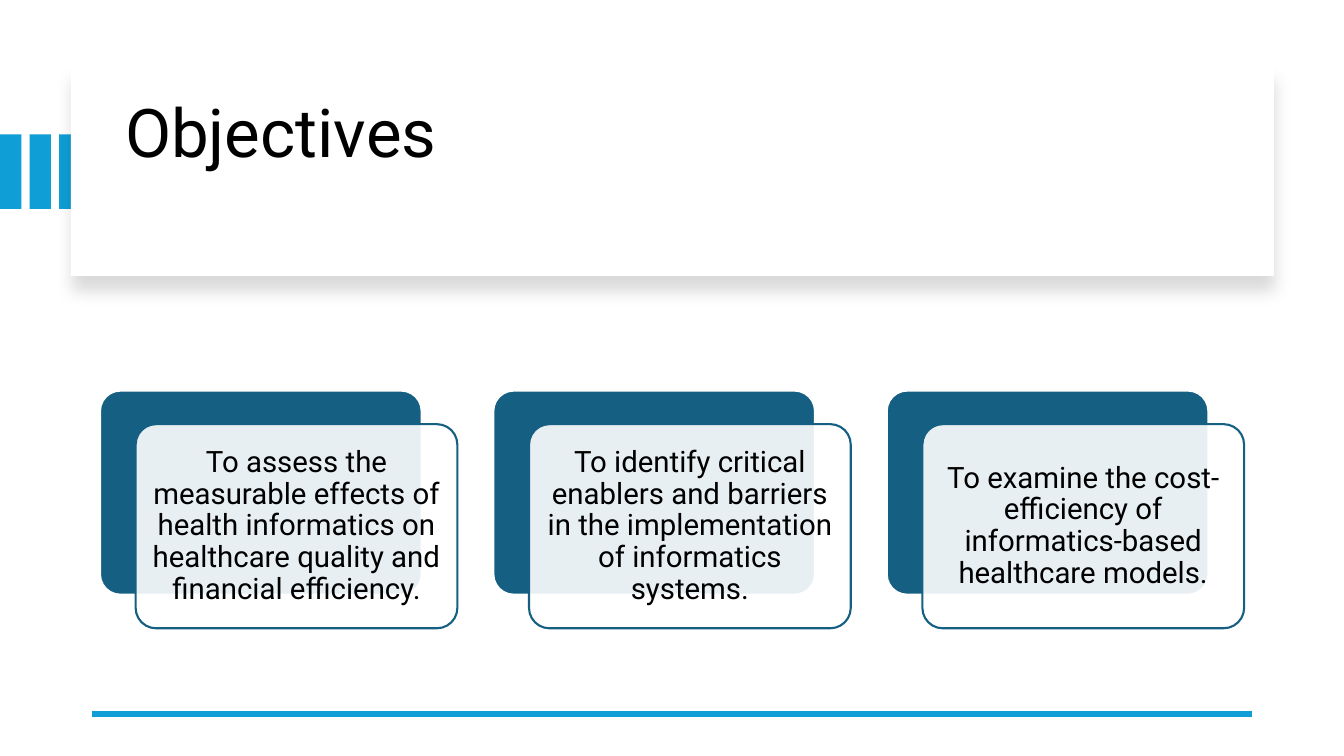
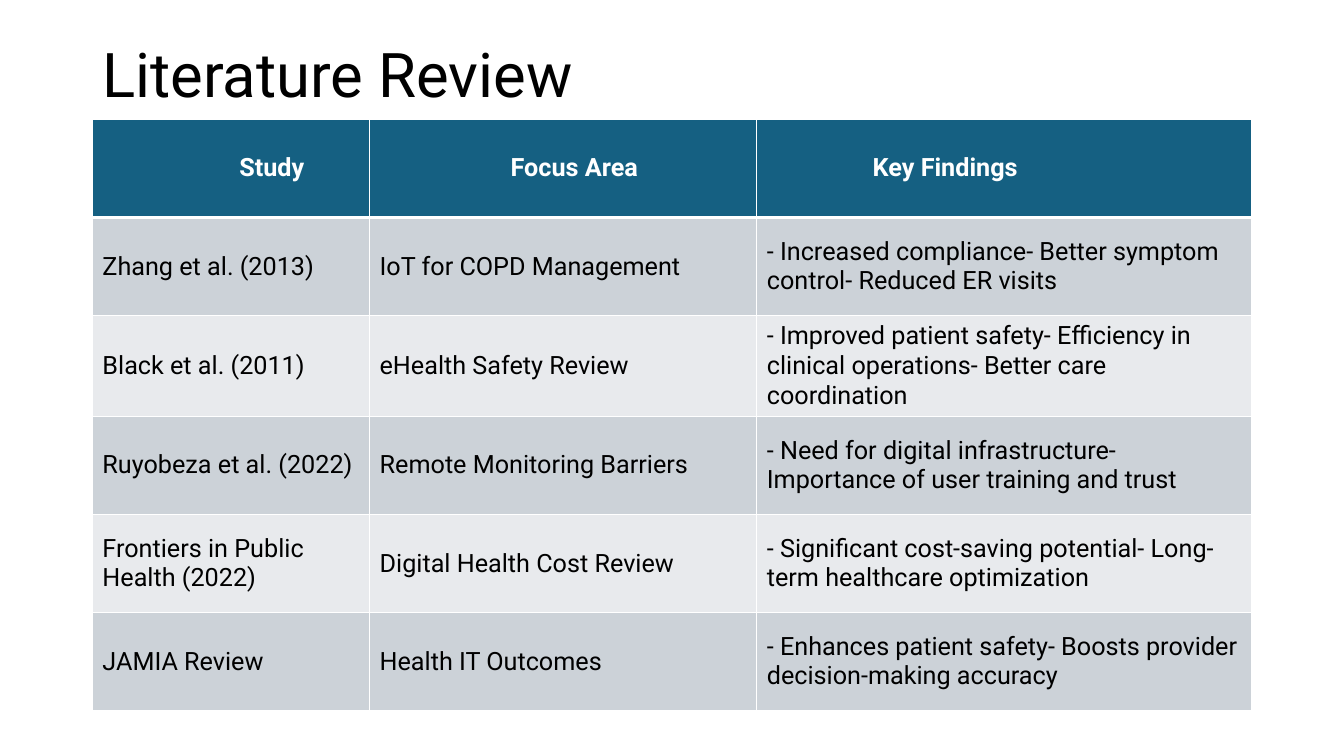
from lxml import etree
from pptx import Presentation
from pptx.dml.color import RGBColor
from pptx.enum.shapes import MSO_CONNECTOR, MSO_SHAPE
from pptx.enum.text import MSO_ANCHOR, PP_ALIGN
from pptx.oxml.ns import qn
from pptx.util import Pt

RECTANGLE = MSO_SHAPE.RECTANGLE
ROUNDED = MSO_SHAPE.ROUNDED_RECTANGLE
STRAIGHT = MSO_CONNECTOR.STRAIGHT
MIDDLE = MSO_ANCHOR.MIDDLE
LEFT, CENTER = PP_ALIGN.LEFT, PP_ALIGN.CENTER

COLUMNS, ROWS = 160, 90
UNIT = Pt(6)
COLORS = {
    "accent": "0F9ED5",
    "deep": "156082",
    "odd_row": "CCD2D8",
    "even_row": "E8EAED",
    "white": "FFFFFF",
    "black": "000000",
}
RGB = {name: RGBColor.from_string(value) for name, value in COLORS.items()}
BOX_INSET = 1.1


def add_box(slide, kind, area, fill, line=None):
    shape = slide.shapes.add_shape(kind, *[int(value * UNIT) for value in area])
    shape.shadow.inherit = False
    shape.fill.solid()
    shape.fill.fore_color.rgb = RGB[fill]
    if line:
        shape.line.color.rgb = RGB[line]
        shape.line.width = Pt(1.5)
    else:
        shape.line.fill.background()
    return shape


def write_text(frame, text, size, color="black", align=LEFT, spacing=0.9, bold=False):
    frame.word_wrap = True
    frame.vertical_anchor = MIDDLE
    paragraph = frame.paragraphs[0]
    paragraph.text = text
    for name, value in {"alignment": align, "line_spacing": spacing}.items():
        setattr(paragraph, name, value)
    font = paragraph.runs[0].font
    for name, value in {"name": "Roboto", "size": Pt(size), "bold": bold}.items():
        setattr(font, name, value)
    font.color.rgb = RGB[color]


presentation = Presentation()
presentation.slide_width = COLUMNS * UNIT
presentation.slide_height = ROWS * UNIT
blank = presentation.slide_layouts[6]
objectives = presentation.slides.add_slide(blank)
review = presentation.slides.add_slide(blank)

for index in range(3):
    add_box(objectives, RECTANGLE, (index * 3.52, 16, 2.55, 8.87), "accent")

card = add_box(objectives, RECTANGLE, (8.45, 8, 143.2, 24.85), "white")
effects = card._element.spPr.find(qn("a:effectLst"))
shadow = etree.SubElement(
    effects, qn("a:outerShdw"), blurRad=str(Pt(11)), dist=str(Pt(10)),
    dir="5400000", algn="t", rotWithShape="0",
)
shadow_color = etree.SubElement(shadow, qn("a:srgbClr"), val=COLORS["black"])
etree.SubElement(shadow_color, qn("a:alpha"), val="15000")

TITLES = [
    (objectives, "Objectives", 48, (13.7, 10.2, 133.6, 12)),
    (review, "Literature Review", 44, (11, 4.2, 138, 10)),
]
for slide, text, size, area in TITLES:
    title = slide.shapes.add_textbox(*[int(value * UNIT) for value in area])
    write_text(title.text_frame, text, size)

rule = objectives.shapes.add_connector(
    STRAIGHT, 149 * UNIT, 85 * UNIT, 11 * UNIT, 85 * UNIT
)
rule.line.color.rgb = RGB["accent"]
rule.line.width = Pt(4.5)
etree.SubElement(rule._element.spPr, qn("a:effectLst"))

GOALS = [
    "To assess the measurable effects of health informatics on healthcare quality and financial efficiency.",
    "To identify critical enablers and barriers in the implementation of informatics systems.",
    "To examine the cost-efficiency of informatics-based healthcare models.",
]
for index, goal in enumerate(GOALS):
    left = 11.9 + index * 46.83
    back = add_box(objectives, ROUNDED, (left, 46.5, 38.3, 24.3), "deep", "white")
    front = add_box(objectives, ROUNDED, (left + 4.25, 50.5, 38.3, 24.3), "white", "deep")
    for shape in (back, front):
        shape.adjustments[0] = 0.1
    front_color = front._element.spPr.find(qn("a:solidFill"))[0]
    etree.SubElement(front_color, qn("a:alpha"), val="90000")
    for side in ("left", "right", "top", "bottom"):
        setattr(front.text_frame, f"margin_{side}", int(BOX_INSET * UNIT))
    write_text(front.text_frame, goal, 21, align=CENTER)

STUDIES = [
    ("Study", "Focus Area", "Key Findings"),
    ("Zhang et al. (2013)", "IoT for COPD Management",
     "- Increased compliance- Better symptom control- Reduced ER visits"),
    ("Black et al. (2011)", "eHealth Safety Review",
     "- Improved patient safety- Efficiency in clinical operations- Better care coordination"),
    ("Ruyobeza et al. (2022)", "Remote Monitoring Barriers",
     "- Need for digital infrastructure- Importance of user training and trust"),
    ("Frontiers in Public Health (2022)", "Digital Health Cost Review",
     "- Significant cost-saving potential- Long-term healthcare optimization"),
    ("JAMIA Review", "Health IT Outcomes",
     "- Enhances patient safety- Boosts provider decision-making accuracy"),
]
COLUMN_WIDTHS = (33, 46.1, 58.9)
HEADER_INDENTS = (17.5, 16.8, 13.8)
ROW_HEIGHT = 11.68

table = review.shapes.add_table(
    len(STUDIES), len(COLUMN_WIDTHS), 11 * UNIT, int(14.2 * UNIT),
    138 * UNIT, int(ROW_HEIGHT * len(STUDIES) * UNIT),
).table
for column, width in zip(table.columns, COLUMN_WIDTHS):
    column.width = int(width * UNIT)
for row in table.rows:
    row.height = int(ROW_HEIGHT * UNIT)

for row_index, study in enumerate(STUDIES):
    header = row_index == 0
    fill = "deep" if header else "odd_row" if row_index % 2 else "even_row"
    border_widths = {
        "lnL": 1,
        "lnR": 1,
        "lnT": 3 if row_index == 1 else 1,
        "lnB": 3 if header else 1,
    }
    for column_index, text in enumerate(study):
        cell = table.cell(row_index, column_index)
        cell.fill.solid()
        cell.fill.fore_color.rgb = RGB[fill]
        write_text(cell.text_frame, text, 18, "white" if header else "black",
                   spacing=1.0, bold=header)
        cell.vertical_anchor = MIDDLE
        if header:
            cell.margin_left = int(HEADER_INDENTS[column_index] * UNIT)
        properties = cell._tc.get_or_add_tcPr()
        for position, (tag, width) in enumerate(border_widths.items()):
            border = etree.Element(qn(f"a:{tag}"), w=str(Pt(width)))
            border_fill = etree.SubElement(border, qn("a:solidFill"))
            etree.SubElement(border_fill, qn("a:srgbClr"), val=COLORS["white"])
            properties.insert(position, border)

presentation.save("out.pptx")
